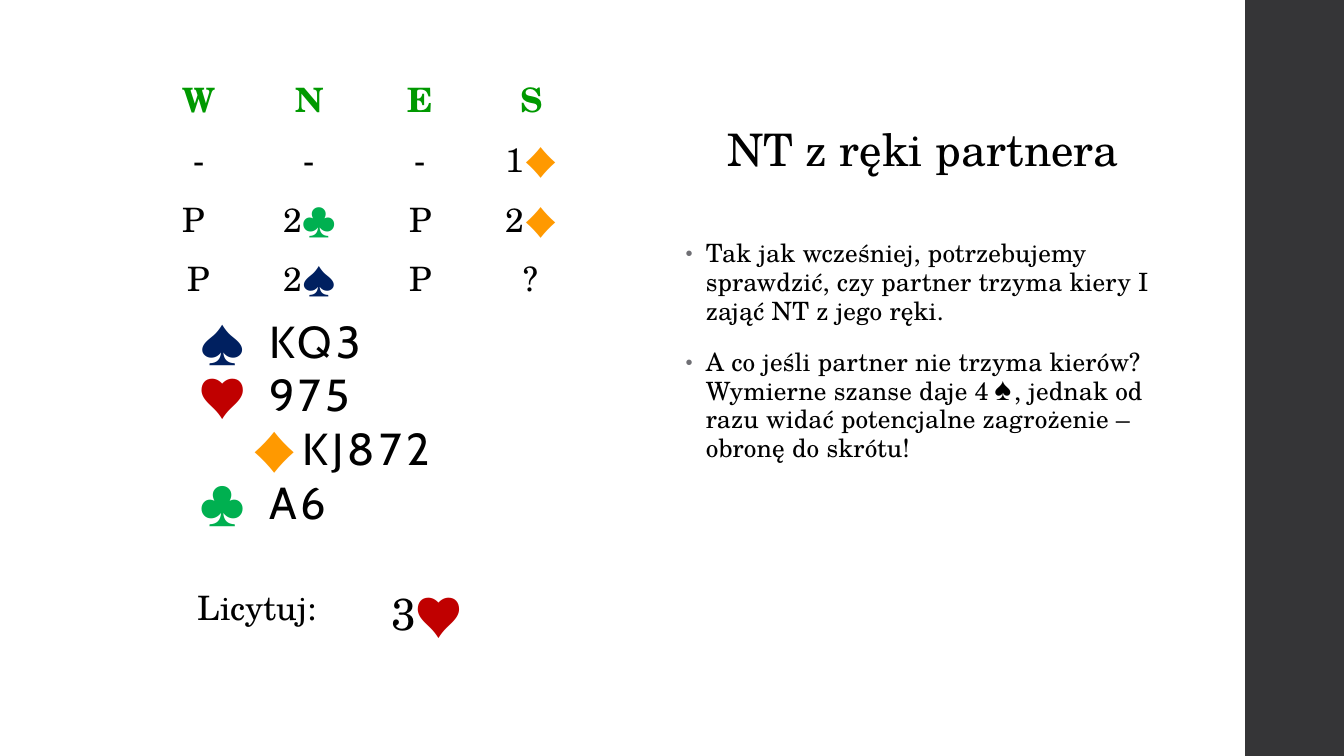
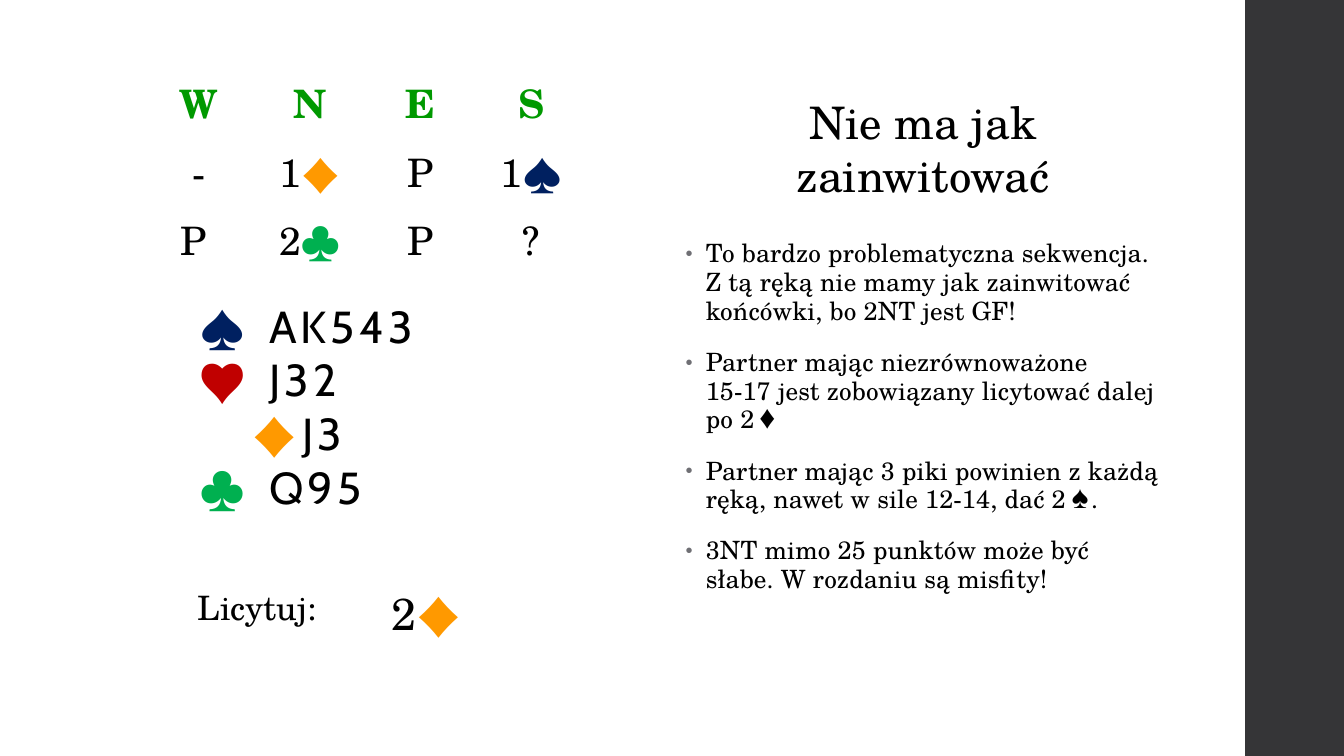
from lxml.etree import SubElement
from pptx import Presentation
from pptx.dml.color import RGBColor
from pptx.enum.shapes import MSO_SHAPE
from pptx.enum.text import MSO_ANCHOR, MSO_AUTO_SIZE, PP_ALIGN
from pptx.oxml.ns import qn
from pptx.util import Inches, Pt

# Content
DEALS = [
    {
        "title": "NT z ręki partnera",
        "auction": ["W N E S", "- - - 1♦", "P 2♣ P 2♦", "P 2♠ P ?"],
        "auction_size": 24, "auction_height": 2.0,
        "hand": ["KQ3", "975", "KJ872", "A6"], "hand_top": 3.06,
        "bid": "3♥",
        "notes": [
            "Tak jak wcześniej, potrzebujemy sprawdzić, czy partner trzyma kiery I zająć NT z jego ręki.",
            "A co jeśli partner nie trzyma kierów? Wymierne szanse daje 4♠, jednak od razu widać "
            "potencjalne zagrożenie – obronę do skrótu!",
        ],
    },
    {
        "title": "Nie ma jak zainwitować",
        "auction": ["W N E S", "- 1♦ P 1♠", "P 2♣ P ?"],
        "auction_size": 28, "auction_height": 1.7,
        "hand": ["AK543", "J32", "J3", "Q95"], "hand_top": 2.91,
        "bid": "2♦",
        "notes": [
            "To bardzo problematyczna sekwencja. Z tą ręką nie mamy jak zainwitować końcówki, bo 2NT jest GF!",
            "Partner mając niezrównoważone \n15-17 jest zobowiązany licytować dalej po 2♦",
            "Partner mając 3 piki powinien z każdą ręką, nawet w sile 12-14, dać 2♠.",
            "3NT mimo 25 punktów może być słabe. W rozdaniu są misfity!",
        ],
    },
]

# Shared style
SUITS = {"♠": "002060", "♥": "C00000", "♦": "FF9900", "♣": "00B050"}
SERIF, SANS = "TeX Gyre Schola", "Cabin"
BLACK, GREEN, BAND, BULLET = "000000", "009900", "353537", "6F6F74"
WIDTH, HEIGHT = 13.33, 7.5
TITLE_BOX = (6.7, 0.88, 4.91, 1.18)
NOTES_BOX = (6.7, 2.33, 4.9, 4.51)
ROW_HEIGHT = 0.41


def color(value):
    return RGBColor.from_string(value)


def add_text(para, text, size, font=SERIF, ink=BLACK, bold=False, spacing=0):
    for index, line in enumerate(text.split("\n")):
        if index:
            para.add_line_break()
        span = para.add_run()
        span.text = line
        span.font.size, span.font.name, span.font.bold = Pt(size), font, bold
        span.font.color.rgb = color(ink)
        span.font._element.set("spc", str(round(spacing * 100)))


def add_call(para, call, size, **style):
    """Write a bid, with its suit symbol in the suit's colour."""
    level = call.rstrip("".join(SUITS))
    if level:
        add_text(para, level, size, **style)
    for suit in call[len(level):]:
        add_text(para, suit, size, font=SANS, ink=SUITS[suit], spacing=3)


def place(shape, box):
    shape.left, shape.top, shape.width, shape.height = map(Inches, box)


def paragraphs(frame, count):
    return [frame.paragraphs[0]] + [frame.add_paragraph() for _ in range(count - 1)]


def add_grid(page, left, top, columns, row_count, height):
    """Add an unfilled table and return its cells row by row."""
    frame = page.shapes.add_table(row_count, len(columns), Inches(left), Inches(top),
                                  Inches(sum(columns)), Inches(height))
    table = frame.table
    table.first_row = table.horz_banding = False
    for column, width in zip(table.columns, columns):
        column.width = Inches(width)
    for row in table.rows:
        row.height = Inches(ROW_HEIGHT)
    frame.height = Inches(height)
    for cell in table.iter_cells():
        cell.fill.background()
        cell.vertical_anchor = MSO_ANCHOR.MIDDLE
    return [list(row.cells) for row in table.rows]


def add_title(page, text):
    title = page.shapes.title
    place(title, TITLE_BOX)
    frame = title.text_frame
    frame.auto_size, frame.vertical_anchor = MSO_AUTO_SIZE.NONE, MSO_ANCHOR.MIDDLE
    frame.paragraphs[0].alignment = PP_ALIGN.CENTER
    add_text(frame.paragraphs[0], text, 32)


def add_notes(page, notes):
    body = page.placeholders[1]
    place(body, NOTES_BOX)
    frame = body.text_frame
    frame.auto_size = MSO_AUTO_SIZE.NONE
    for index, (para, note) in enumerate(zip(paragraphs(frame, len(notes)), notes)):
        layout = para._p.get_or_add_pPr()
        layout.set("marL", str(Inches(0.2)))
        layout.set("indent", str(-Inches(0.2)))
        SubElement(SubElement(layout, qn("a:buClr")), qn("a:srgbClr"), val=BULLET)
        SubElement(layout, qn("a:buSzPct"), val="80000")
        SubElement(layout, qn("a:buChar"), char="•")
        para.line_spacing = 0.95
        para.space_before, para.space_after = Pt(14 if index else 0), Pt(2)
        add_text(para, note, 18, spacing=0.1)


def add_auction(page, rows, size, height):
    cells = add_grid(page, 1.42, 0.67, [1.1] * 4, len(rows), height)
    for index, (row, calls) in enumerate(zip(cells, rows)):
        style = {} if index else {"ink": GREEN, "bold": True}
        for cell, call in zip(row, calls.split()):
            para = cell.text_frame.paragraphs[0]
            para.alignment = PP_ALIGN.CENTER
            # The third row's opening pass carries a trailing space
            text = "P " if index == 2 and cell is row[0] else call
            add_call(para, text, size, **style)


def add_hand(page, holdings, top):
    box = page.shapes.add_textbox(*map(Inches, (1.87, top, 3.49, 2.26)))
    frame = box.text_frame
    frame.word_wrap = True
    for para, suit, cards in zip(paragraphs(frame, len(SUITS)), SUITS, holdings):
        layout = para._p.get_or_add_pPr()
        if suit == "♦":
            layout.set("marL", str(Inches(0.03)))
            layout.set("indent", "0")
        tabs = SubElement(layout, qn("a:tabLst"))
        for position, side in ((0.5, "r"), (0.7, "l")):
            SubElement(tabs, qn("a:tab"), pos=str(Inches(position)), algn=side)
        for text, ink in (("\t" + suit + "\t", SUITS[suit]), (cards, BLACK)):
            add_text(para, text, 32, font=SANS, ink=ink, spacing=3)


def add_answer(page, bid):
    prompt, answer = add_grid(page, 1.32, 5.7, [2.46, 1.58], 1, 0.63)[0]
    prompt.text_frame.paragraphs[0].alignment = PP_ALIGN.CENTER
    add_text(prompt.text_frame.paragraphs[0], "Licytuj:", 24)
    add_call(answer.text_frame.paragraphs[0], bid, 32)


def add_band(page, layout):
    """Draw the side band and hand it to the layout all pages share."""
    band = page.shapes.add_shape(MSO_SHAPE.RECTANGLE, Inches(12.35), 0,
                                 Inches(WIDTH - 12.35), Inches(HEIGHT))
    band.shadow.inherit = False
    band.fill.solid()
    band.fill.fore_color.rgb = color(BAND)
    band.line.fill.background()
    layout.shapes._spTree.append(band._element)


def main():
    deck = Presentation()
    deck.slide_width, deck.slide_height = Inches(WIDTH), Inches(HEIGHT)
    layout = deck.slide_layouts[1]
    for index, deal in enumerate(DEALS):
        page = deck.slides.add_slide(layout)
        if index == 0:
            add_band(page, layout)
        add_title(page, deal["title"])
        add_notes(page, deal["notes"])
        add_auction(page, deal["auction"], deal["auction_size"], deal["auction_height"])
        add_hand(page, deal["hand"], deal["hand_top"])
        add_answer(page, deal["bid"])
    deck.save("out.pptx")


if __name__ == "__main__":
    main()
